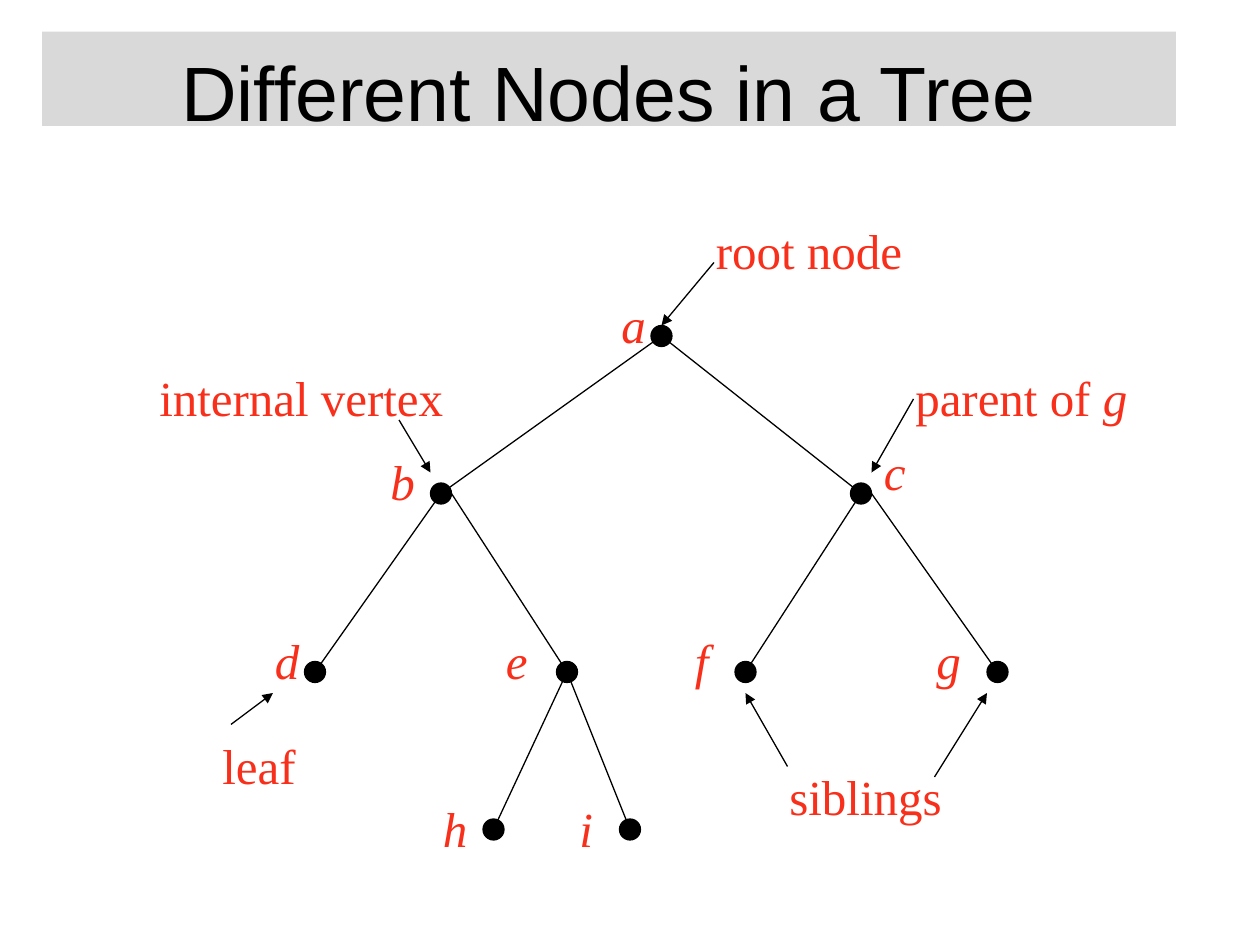
from lxml.etree import SubElement
from pptx import Presentation
from pptx.dml.color import RGBColor
from pptx.enum.shapes import MSO_CONNECTOR, MSO_SHAPE
from pptx.enum.text import MSO_ANCHOR, MSO_AUTO_SIZE, PP_ALIGN
from pptx.oxml.ns import qn
from pptx.util import Cm, Pt

COLORS = {"ink": "000000", "label": "F82F1A", "band": "D9D9D9"}

# Grid units: twelve to the inch.
# Node: dot centre, then top left of its label
NODES = {
    "a": ((63, 32), (58, 27)),
    "b": ((42, 47), (36, 42)),
    "c": ((82, 47), (83, 41)),
    "d": ((30, 64), (25, 59)),
    "e": ((54, 64), (47, 59)),
    "f": ((71, 64), (65, 59)),
    "g": ((95, 64), (88, 59)),
    "h": ((47, 79), (41, 75)),
    "i": ((60, 79), (54, 75)),
}
# Parent, child, shift of the parent end to the right
EDGES = [
    ("a", "b", 0), ("a", "c", 0), ("b", "d", 0), ("b", "e", 1),
    ("c", "f", 0), ("c", "g", 1), ("e", "h", 0), ("e", "i", 0),
]
# Runs (text, italic), top left, width, arrows
NOTES = [
    ([("root node", False)], (67, 20), 23, [((68, 25), (63, 31))]),
    ([("parent of ", False), ("g", True)], (86, 34), 24,
     [((87, 38), (83, 45))]),
    ([("siblings", False)], (74, 72), 22,
     [((75, 73), (71, 66)), ((89, 74), (94, 66))]),
    ([("leaf", False)], (20, 69), 11, [((22, 69), (26, 66))]),
    ([("internal vertex", False)], (14, 34), 32, [((38, 40), (41, 45))]),
]


def color(name):
    return RGBColor.from_string(COLORS[name])


def grid(*units):
    return [Cm(unit * 2.54 / 12) for unit in units]


class Sketch:
    serif, sans = "Times New Roman", "Arial"
    size, head = Pt(28), Pt(44)
    stroke = Pt(0.75)

    def __init__(self, slide):
        self.slide = slide
        self.shapes = slide.shapes

    def run(self, para, text, font, size, tint, italic=False):
        run = para.add_run()
        run.text = text
        run.font.name, run.font.size = font, size
        run.font.italic = italic
        run.font.color.rgb = color(tint)

    def title(self, text):
        title = self.shapes.title
        title.left, title.top, title.width, title.height = grid(4, 3, 108, 9)
        title.fill.solid()
        title.fill.fore_color.rgb = color("band")
        frame = title.text_frame
        frame.auto_size = MSO_AUTO_SIZE.NONE
        frame.vertical_anchor = MSO_ANCHOR.TOP
        frame.margin_top, frame.margin_bottom = Cm(0.27), 0
        para = frame.paragraphs[0]
        para.alignment = PP_ALIGN.CENTER
        self.run(para, text, self.sans, self.head, "ink")

    def dot(self, x, y):
        dot = self.shapes.add_shape(MSO_SHAPE.OVAL, *grid(x - 1, y - 1, 2, 2))
        dot.shadow.inherit = False
        dot.fill.solid()
        dot.fill.fore_color.rgb = color("ink")
        dot.line.color.rgb = color("ink")
        dot.line.width = self.stroke

    def line(self, start, end, arrow=False):
        line = self.shapes.add_connector(
            MSO_CONNECTOR.STRAIGHT, *grid(*start, *end))
        line.line.color.rgb = color("ink")
        line.line.width = self.stroke
        if arrow:
            SubElement(line.line._get_or_add_ln(), qn("a:tailEnd"),
                       type="triangle")
        SubElement(line._element.spPr, qn("a:effectLst"))

    def label(self, runs, spot, width):
        box = self.shapes.add_textbox(*grid(*spot, width, 6.84))
        frame = box.text_frame
        frame.word_wrap = True
        frame.margin_top = Cm(0.22)
        for text, italic in runs:
            self.run(frame.paragraphs[0], text, self.serif, self.size,
                     "label", italic)


def main():
    deck = Presentation()
    deck.slide_width, deck.slide_height = Cm(25.4), Cm(19.05)
    sketch = Sketch(deck.slides.add_slide(deck.slide_layouts[5]))
    sketch.title("Different Nodes in a Tree")
    for parent, child, shift in EDGES:
        x, y = NODES[parent][0]
        sketch.line((x + shift, y), NODES[child][0])
    for name, (centre, spot) in NODES.items():
        sketch.dot(*centre)
        sketch.label([(name, True)], spot, 5)
    for runs, spot, width, arrows in NOTES:
        sketch.label(runs, spot, width)
        for start, end in arrows:
            sketch.line(start, end, arrow=True)
    deck.save("out.pptx")


if __name__ == "__main__":
    main()
